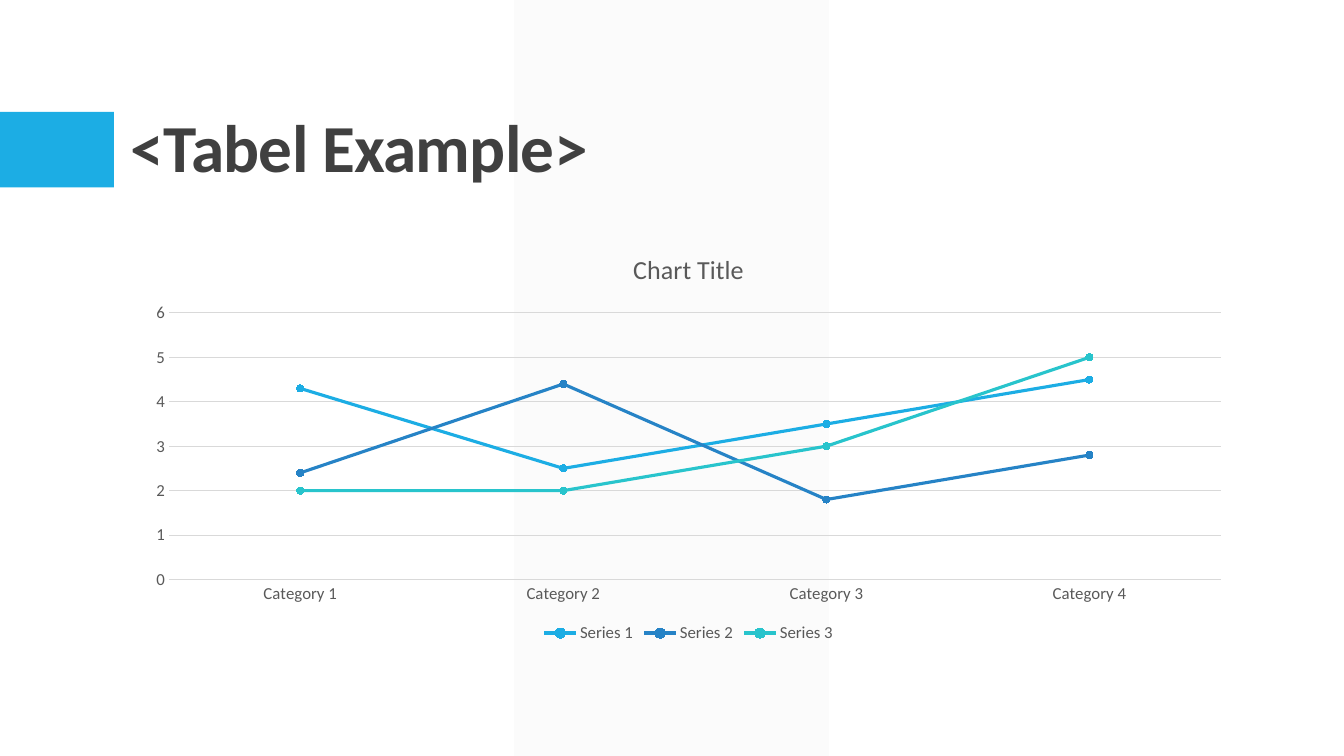
from lxml import etree
from pptx import Presentation
from pptx.chart import data
from pptx.dml.color import RGBColor
from pptx.enum import chart as charts, shapes, text
from pptx.oxml import ns
from pptx.util import Inches, Pt

FONT = "Calibri"
BAND_GREY = RGBColor(0xF2, 0xF2, 0xF2)
TITLE_GREY = RGBColor(0x40, 0x40, 0x40)
LABEL_GREY = RGBColor(0x59, 0x59, 0x59)
GRID_GREY = RGBColor(0xD9, 0xD9, 0xD9)
SKY = RGBColor(0x1C, 0xAD, 0xE4)
BLUE = RGBColor(0x26, 0x83, 0xC6)
TEAL = RGBColor(0x28, 0xC4, 0xCC)

CATEGORIES = ["Category 1", "Category 2", "Category 3", "Category 4"]
SERIES = [
    ("Series 1", (4.3, 2.5, 3.5, 4.5), SKY),
    ("Series 2", (2.4, 4.4, 1.8, 2.8), BLUE),
    ("Series 3", (2, 2, 3, 5), TEAL),
]


def add_block(page, left, top, width, height, color, opacity=100):
    block = page.shapes.add_shape(
        shapes.MSO_SHAPE.RECTANGLE,
        Inches(left), Inches(top), Inches(width), Inches(height))
    block.shadow.inherit = False
    block.line.fill.background()
    block.fill.solid()
    block.fill.fore_color.rgb = color
    if opacity < 100:
        fill_color = block.fill._xPr.find(".//" + ns.qn("a:srgbClr"))
        etree.SubElement(fill_color, ns.qn("a:alpha"), val=str(opacity * 1000))


def style_font(font, size, color, bold=False):
    font.name = FONT
    font.size = Pt(size)
    font.bold = bold
    font.color.rgb = color


def add_title(page, wording):
    box = page.shapes.add_textbox(Inches(1.2), Inches(0.31), Inches(11), Inches(1.59))
    frame = box.text_frame
    frame.word_wrap = True
    frame.vertical_anchor = text.MSO_ANCHOR.BOTTOM
    para = frame.paragraphs[0]
    para.line_spacing = 0.9
    span = para.add_run()
    span.text = wording
    style_font(para.font, 48, TITLE_GREY, bold=True)
    span._r.get_or_add_rPr().set("spc", "-50")


def style_line(line, color, width):
    line.color.rgb = color
    line.width = Pt(width)


def style_axis(axis):
    axis.major_tick_mark = axis.minor_tick_mark = charts.XL_TICK_MARK.NONE
    style_font(axis.tick_labels.font, 12, LABEL_GREY)


def style_series(series, color):
    series.smooth = False
    style_line(series.format.line, color, 2.25)
    marker = series.marker
    marker.style = charts.XL_MARKER_STYLE.CIRCLE
    marker.size = 5
    marker.format.fill.solid()
    marker.format.fill.fore_color.rgb = color
    style_line(marker.format.line, color, 0.75)


def add_line_chart(page):
    values = data.CategoryChartData()
    values.categories = CATEGORIES
    for name, numbers, _ in SERIES:
        values.add_series(name, numbers)
    chart = page.shapes.add_chart(
        charts.XL_CHART_TYPE.LINE_MARKERS,
        Inches(1.33), Inches(2.31), Inches(11), Inches(4.11), values).chart
    chart.font.name = FONT
    chart.font.size = Pt(10)

    chart.has_title = True
    chart.chart_title.include_in_layout = False
    heading = chart.chart_title.text_frame
    heading.text = "Chart Title"
    style_font(heading.paragraphs[0].font, 18.6, LABEL_GREY)

    chart.has_legend = True
    chart.legend.position = charts.XL_LEGEND_POSITION.BOTTOM
    chart.legend.include_in_layout = False
    style_font(chart.legend.font, 12, LABEL_GREY)

    style_axis(chart.category_axis)
    style_line(chart.category_axis.format.line, GRID_GREY, 0.75)
    style_axis(chart.value_axis)
    chart.value_axis.format.line.fill.background()
    chart.value_axis.minimum_scale = 0
    chart.value_axis.maximum_scale = 6
    chart.value_axis.major_unit = 1
    style_line(chart.value_axis.major_gridlines.format.line, GRID_GREY, 0.75)

    plot = chart.plots[0]
    plot.vary_by_categories = False
    for series, (_, _, color) in zip(plot.series, SERIES):
        style_series(series, color)


def main():
    deck = Presentation()
    deck.slide_width = Inches(13.33)
    deck.slide_height = Inches(7.5)
    page = deck.slides.add_slide(deck.slide_layouts[6])
    add_block(page, 5.1, 0, 3.12, 7.5, BAND_GREY, opacity=30)
    add_block(page, 0, 1.11, 1.13, 0.75, SKY)
    add_title(page, "<Tabel Example>")
    add_line_chart(page)
    deck.save("out.pptx")


if __name__ == "__main__":
    main()
